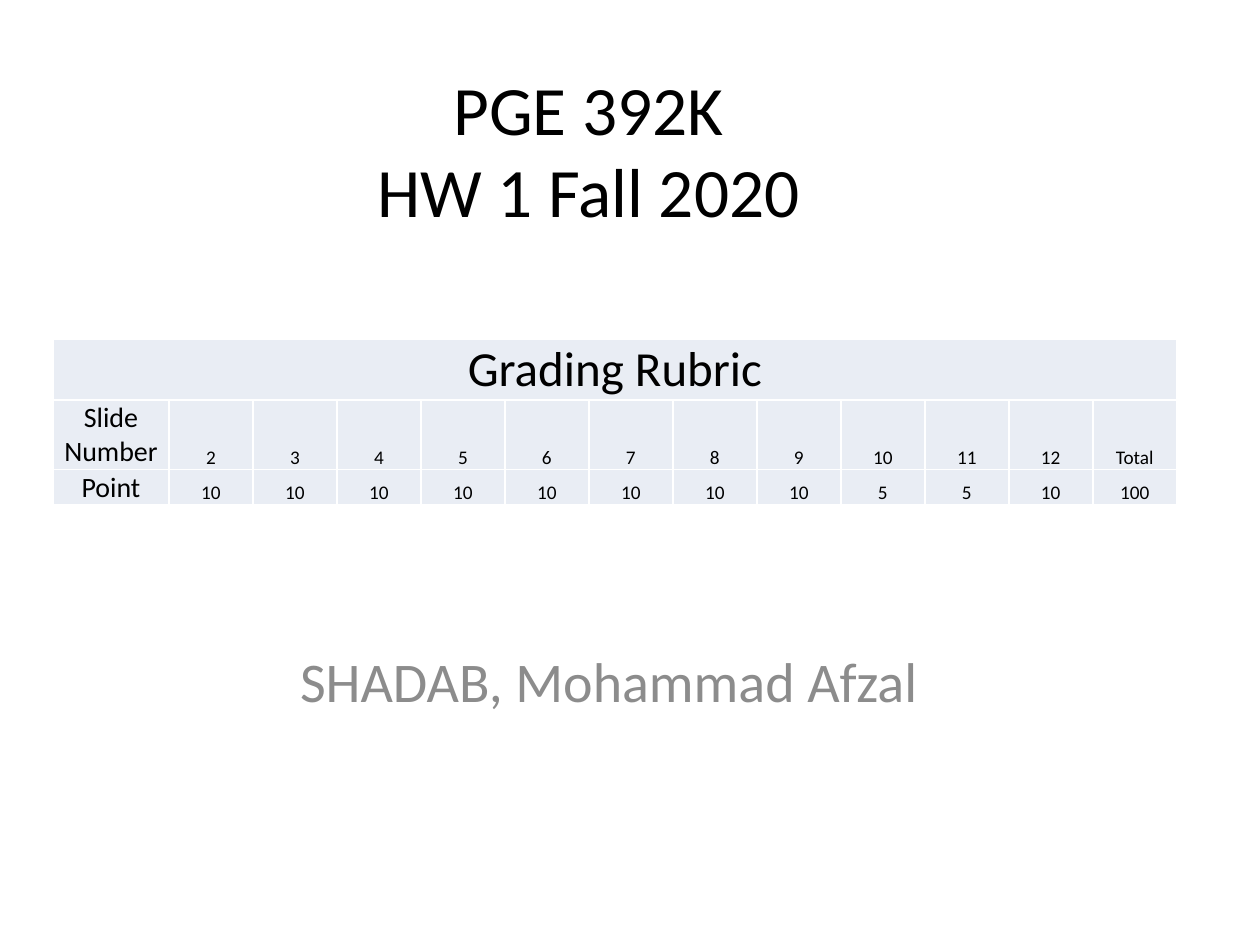
from lxml.etree import SubElement
from pptx import Presentation
from pptx.dml.color import RGBColor
from pptx.enum.text import MSO_ANCHOR, MSO_AUTO_SIZE, PP_ALIGN
from pptx.oxml.ns import qn
from pptx.util import Pt

# Content
TITLE = "PGE 392K\vHW 1 Fall 2020"
AUTHOR = "SHADAB, Mohammad Afzal"
HEADING = "Grading Rubric"
ROWS = [
    ["Slide Number", *range(2, 13), "Total"],
    ["Point", 10, 10, 10, 10, 10, 10, 10, 10, 5, 5, 10, 100],
]

THEME = {
    "font": "Calibri", "ink": "000000", "muted": "8C8C8C",
    "cell": "E9EDF4", "border": "FFFFFF",
    "title": 39.6, "author": 32, "heading": 28, "label": 16, "value": 11,
}

# Layout in px, 126 to the inch
SLIDE = (1260, 945)
TITLE_BOX = (53, 84, 1071, 211)
TITLE_BOTTOM_INSET = 81
AUTHOR_BOX = (168, 640, 882, 242)
TABLE_AT = (53, 339)
COL_WIDTHS = [116] + [84] * 12
ROW_HEIGHTS = [61, 69, 34]


def px(n):
    return round(n * 914400 / 126)


def write(tf, text, size, color="ink"):
    tf.text = str(text)
    p = tf.paragraphs[0]
    p.alignment = PP_ALIGN.CENTER
    for r in p.runs:
        style = {"name": THEME["font"], "size": Pt(THEME[size]), "bold": False}
        for key, value in style.items():
            setattr(r.font, key, value)
        r.font.color.rgb = RGBColor.from_string(THEME[color])
    return p


def place(sp, box):
    for key, value in zip(("left", "top", "width", "height"), box):
        setattr(sp, key, px(value))
    sp.text_frame.auto_size = MSO_AUTO_SIZE.NONE
    return sp.text_frame


def fill_cell(cell, text, size):
    formats = {
        "margin_left": px(1), "margin_right": px(1), "margin_top": px(1),
        "margin_bottom": 0, "vertical_anchor": MSO_ANCHOR.BOTTOM,
    }
    for key, value in formats.items():
        setattr(cell, key, value)
    write(cell.text_frame, text, size)
    # Cell borders
    tc_pr = cell._tc.get_or_add_tcPr()
    for side in ("a:lnL", "a:lnR", "a:lnT", "a:lnB"):
        line = SubElement(tc_pr, qn(side), w=str(Pt(1)))
        solid = SubElement(line, qn("a:solidFill"))
        SubElement(solid, qn("a:srgbClr"), val=THEME["border"])
    cell.fill.solid()
    cell.fill.fore_color.rgb = RGBColor.from_string(THEME["cell"])


prs = Presentation()
prs.slide_width, prs.slide_height = map(px, SLIDE)
s = prs.slides.add_slide(prs.slide_layouts[0])

# Title and author
tf = place(s.shapes.title, TITLE_BOX)
tf.vertical_anchor = MSO_ANCHOR.MIDDLE
tf.margin_bottom = px(TITLE_BOTTOM_INSET)
write(tf, TITLE, "title").line_spacing = 0.98
write(place(s.placeholders[1], AUTHOR_BOX), AUTHOR, "author", "muted")

# Grading table
size = (sum(COL_WIDTHS), sum(ROW_HEIGHTS))
table = s.shapes.add_table(len(ROW_HEIGHTS), len(COL_WIDTHS),
                           *map(px, TABLE_AT + size)).table
table.first_row = table.horz_banding = False
for col, width in zip(table.columns, COL_WIDTHS):
    col.width = px(width)
for row, height in zip(table.rows, ROW_HEIGHTS):
    row.height = px(height)
table.cell(0, 0).merge(table.cell(0, len(COL_WIDTHS) - 1))
fill_cell(table.cell(0, 0), HEADING, "heading")
for i, values in enumerate(ROWS, 1):
    for j, value in enumerate(values):
        fill_cell(table.cell(i, j), value, "value" if j else "label")

prs.save("out.pptx")
